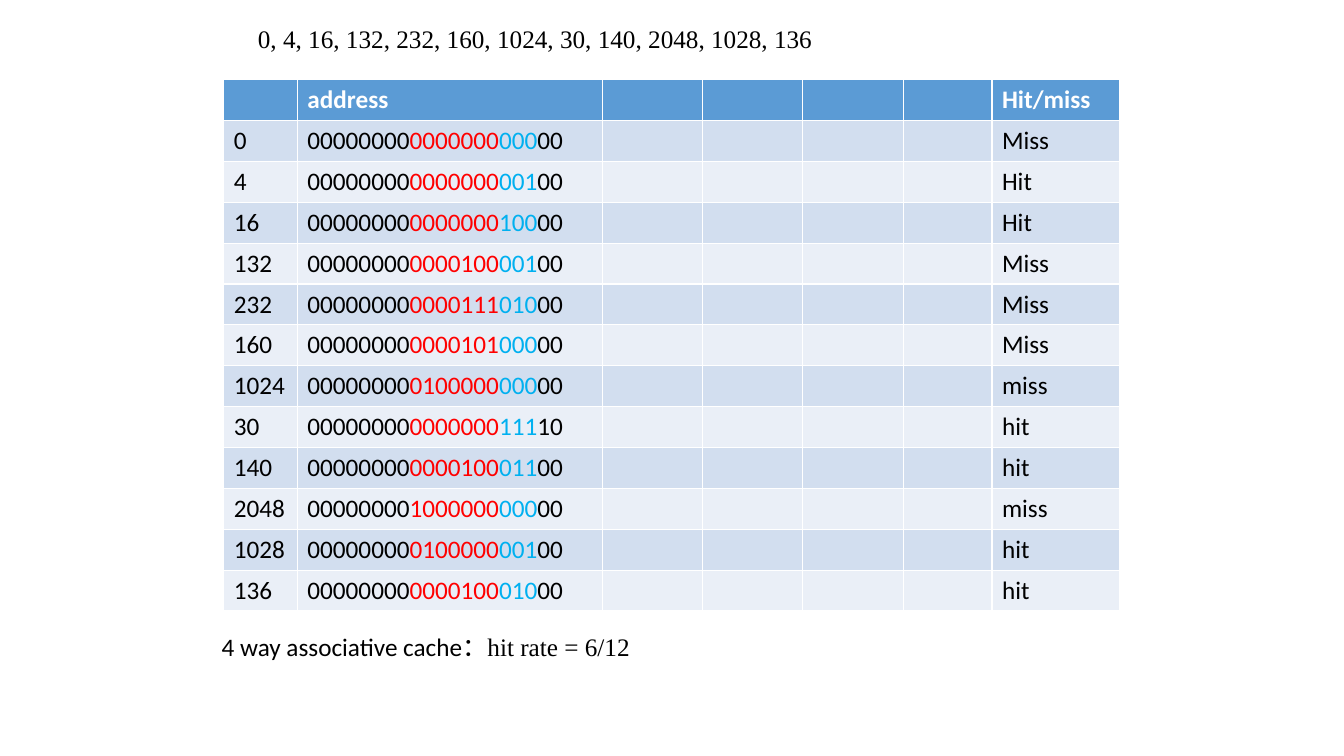
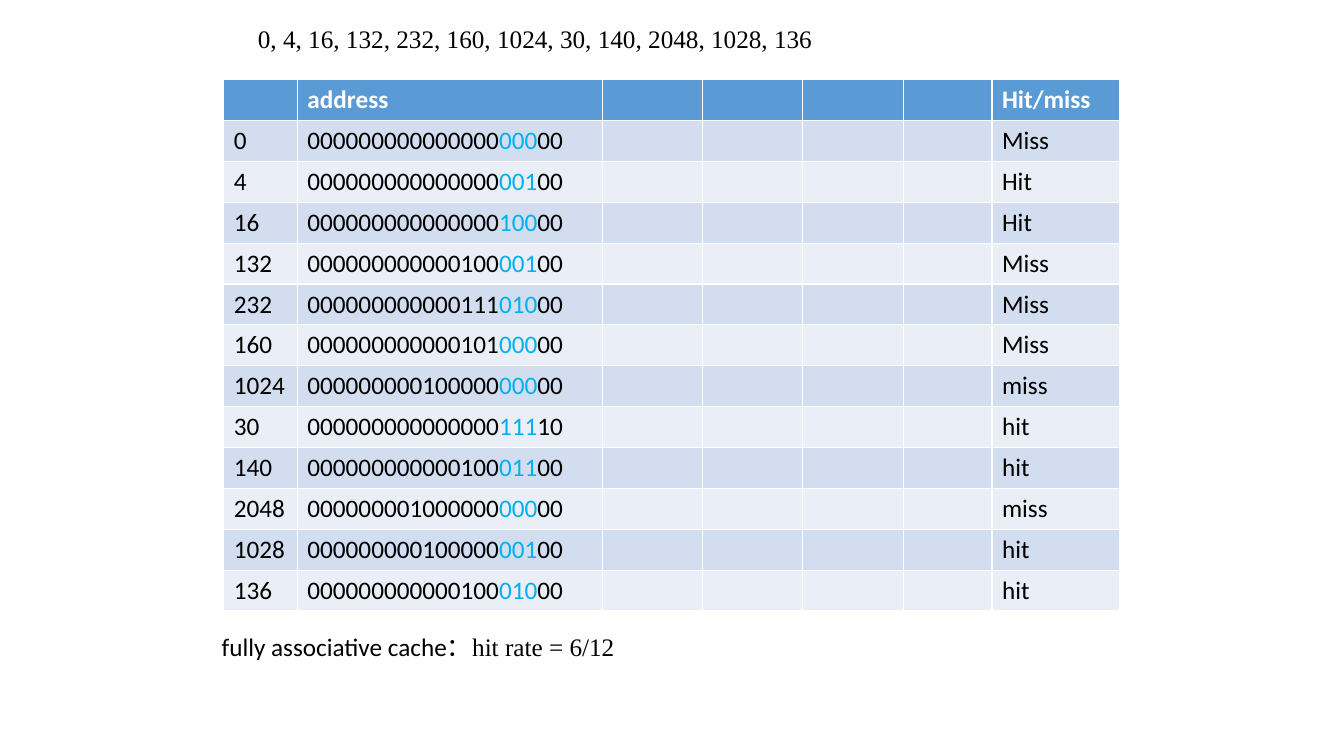
from dataclasses import dataclass

from pptx import Presentation
from pptx.dml.color import RGBColor
from pptx.util import Inches, Pt

WIDE, HIGH = 13.33, 7.5
HUES = {
    "head": "5B9BD5", "odd": "D2DEEF", "even": "EAEFF7",
    "white": "FFFFFF", "ink": "000000", "set": "FF0000", "word": "00B0F0",
}
SANS, SERIF = "Calibri", "Times New Roman"
COLS = (5.48, 22.73, 7.43, 7.43, 7.5, 6.6, 9.53)
ROW = 5.41
HEADS = {1: "address", 6: "Hit/miss"}
CALLS = (
    (0, "Miss"), (4, "Hit"), (16, "Hit"), (132, "Miss"),
    (232, "Miss"), (160, "Miss"), (1024, "miss"), (30, "hit"),
    (140, "hit"), (2048, "miss"), (1028, "hit"), (136, "hit"),
)


@dataclass(frozen=True)
class Box:
    left: float
    top: float
    width: float
    height: float

    def place(self) -> tuple:
        return (across(self.left), down(self.top),
                across(self.width), down(self.height))


@dataclass(frozen=True)
class Part:
    text: str
    hue: str = "ink"
    font: str = SANS
    bold: bool = False


@dataclass(frozen=True)
class Field:
    bits: int
    hue: str


@dataclass(frozen=True)
class Cache:
    name: str
    fields: tuple


TOP = Box(18.45, 2.4, 43.66, 5.33)
GRID = Box(16.65, 10.53, sum(COLS), ROW * (len(CALLS) + 1))
NOTE = Box(15.75, 82.8, 32.26, 5.33)
TAIL = (Field(3, "word"), Field(2, "ink"))
PAGES = (
    Cache("4 way associative cache", (Field(8, "ink"), Field(7, "set")) + TAIL),
    Cache("fully associative cache", (Field(15, "ink"),) + TAIL),
)


def across(share: float) -> int:
    return Inches(WIDE * share / 100)


def down(share: float) -> int:
    return Inches(HIGH * share / 100)


def color(name: str) -> RGBColor:
    return RGBColor.from_string(HUES[name])


def write(frame, parts: list[Part]) -> None:
    para = frame.paragraphs[0]
    for part in parts:
        run = para.add_run()
        run.text = part.text
        run.font.size = Pt(18)
        run.font.name = part.font
        run.font.bold = part.bold
        run.font.color.rgb = color(part.hue)


def label(slide, box: Box, parts: list[Part]) -> None:
    frame = slide.shapes.add_textbox(*box.place()).text_frame
    frame.word_wrap = True
    write(frame, parts)


def split(call: int, fields: tuple) -> list[Part]:
    bits = f"{call:020b}"
    parts, start = [], 0
    for field in fields:
        end = start + field.bits
        parts.append(Part(bits[start:end], field.hue))
        start = end
    return parts


def chart(slide, fields: tuple) -> None:
    table = slide.shapes.add_table(
        len(CALLS) + 1, len(COLS), *GRID.place()).table
    for col, share in zip(table.columns, COLS):
        col.width = across(share)
    for i, row in enumerate(table.rows):
        row.height = down(ROW)
        fill = "head" if i == 0 else "odd" if i % 2 else "even"
        for cell in row.cells:
            cell.fill.solid()
            cell.fill.fore_color.rgb = color(fill)
    for j, head in HEADS.items():
        write(table.cell(0, j).text_frame, [Part(head, "white", bold=True)])
    for i, (call, hit) in enumerate(CALLS, 1):
        texts = {0: [Part(str(call))], 1: split(call, fields), 6: [Part(hit)]}
        for j, parts in texts.items():
            write(table.cell(i, j).text_frame, parts)


def main() -> None:
    deck = Presentation()
    deck.slide_width, deck.slide_height = Inches(WIDE), Inches(HIGH)
    calls = ", ".join(str(call) for call, _ in CALLS)
    hits = sum(hit.lower() == "hit" for _, hit in CALLS)
    rate = f"：hit rate = {hits}/{len(CALLS)}"
    for page in PAGES:
        slide = deck.slides.add_slide(deck.slide_layouts[6])
        label(slide, TOP, [Part(calls, font=SERIF)])
        chart(slide, page.fields)
        label(slide, NOTE, [Part(page.name), Part(rate, font=SERIF)])
    deck.save("out.pptx")


if __name__ == "__main__":
    main()
